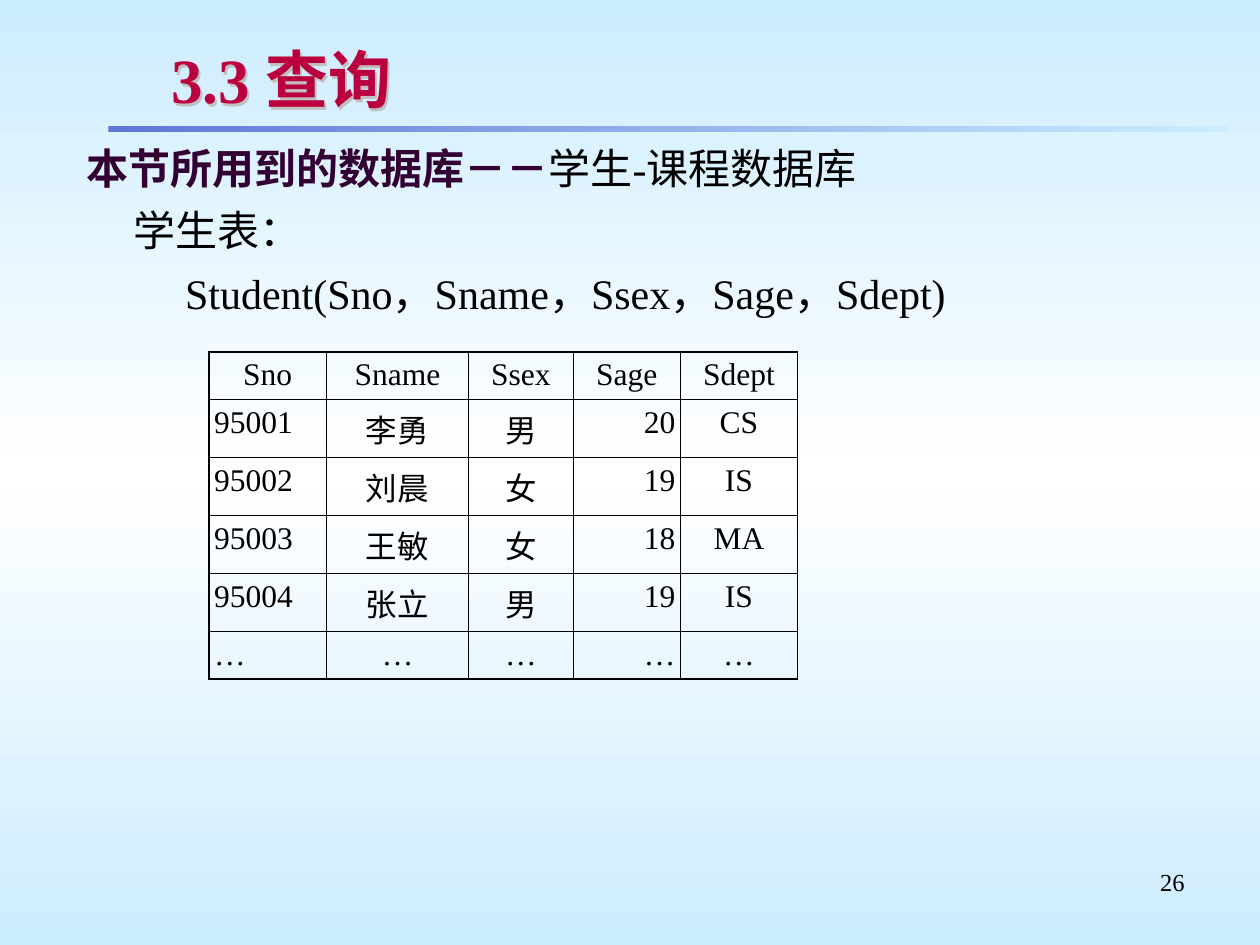
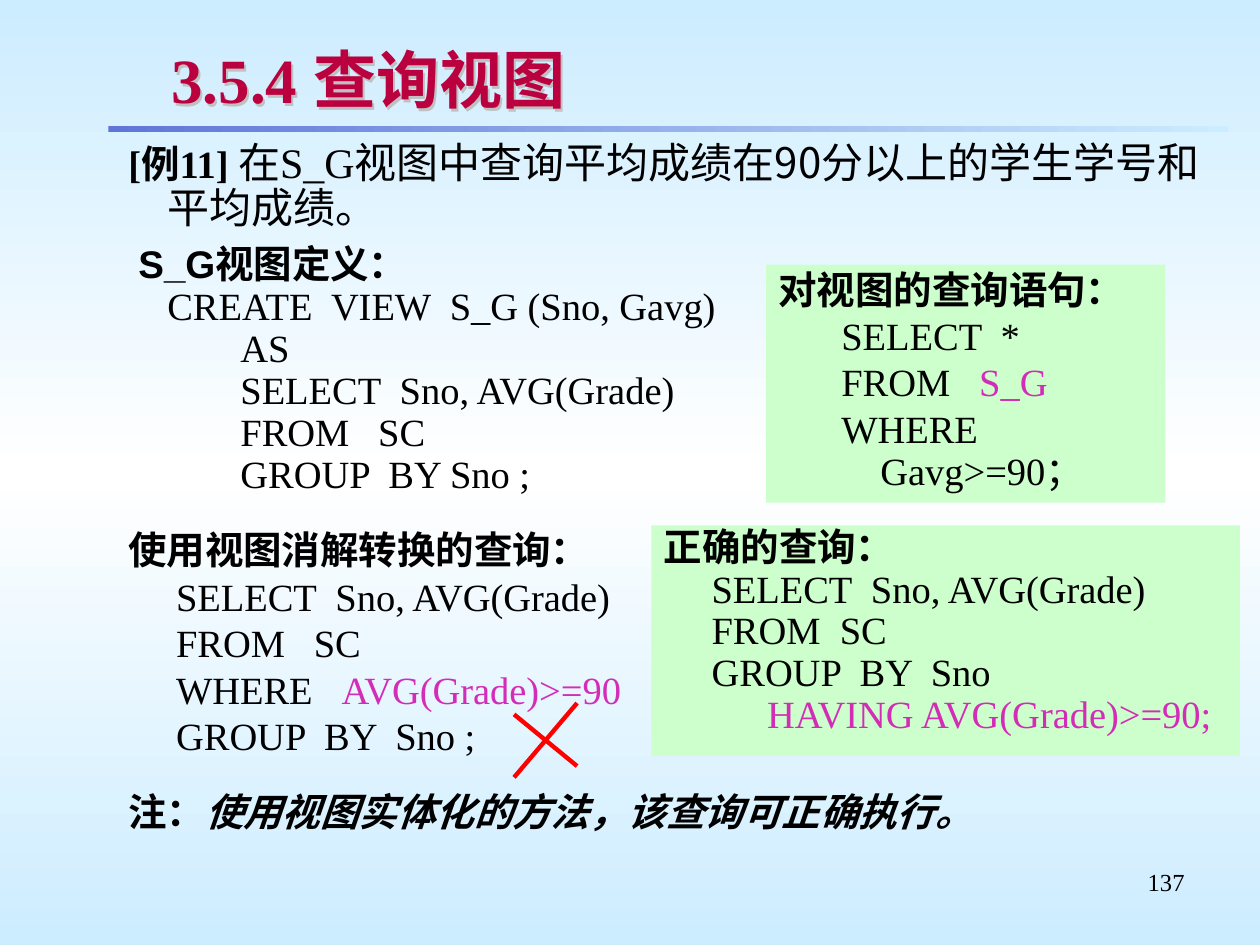
import copy

import pptx
import pptx.dml.color
import pptx.enum.shapes
import pptx.enum.text
import pptx.oxml
import pptx.oxml.ns
import pptx.util
from pptx.util import Inches

SERIF = "Times New Roman"
SANS = "Arial"
CJK = "Noto Sans CJK SC"

SKY = "CCECFF"
WHITE = "FFFFFF"
RULE_BLUE = "5F76D7"
TITLE_RED = "BA003E"
SHADOW_GREY = "C0C0C0"
PLUM = "330033"
BLACK = "000000"
MINT = "CCFFCC"
MAGENTA = "D32DB7"
CROSS_RED = "FF0000"

ALIGN = pptx.enum.text.PP_ALIGN
ANCHOR = pptx.enum.text.MSO_ANCHOR
qn = pptx.oxml.ns.qn
DRAWING_NS = pptx.oxml.ns.nsdecls("a")


def rgb(value):
    return pptx.dml.color.RGBColor.from_string(value)


def set_gradient(fill, owner, colors, angle):
    """Spread the colours evenly along a linear gradient."""
    fill.gradient()
    fill.gradient_angle = angle
    stop_list = next(owner.iter(qn("a:gsLst")))
    while len(stop_list) < len(colors):
        stop_list.append(copy.deepcopy(stop_list[-1]))
    for index, (stop, color) in enumerate(zip(fill.gradient_stops, colors)):
        stop.position = index / (len(colors) - 1)
        stop.color.rgb = rgb(color)


def add_run(paragraph, text, size=22, font=SERIF, color=BLACK, bold=False, italic=False):
    run = paragraph.add_run()
    run.text = text
    run.font.size = pptx.util.Pt(size)
    run.font.name = font
    run.font.color.rgb = rgb(color)
    run.font.bold = bold
    run.font.italic = italic
    latin = run.font._element.find(qn("a:latin"))
    latin.addnext(pptx.oxml.parse_xml(f'<a:ea {DRAWING_NS} typeface="{CJK}"/>'))


def add_paragraph(frame, *runs, margin=0, indent=0, spacing=1.0, before=0,
                  align=ALIGN.LEFT, **text_format):
    """Append a paragraph; a run is a string or (string, format overrides)."""
    paragraph = frame.paragraphs[0]
    if paragraph.runs:
        paragraph = frame.add_paragraph()
        paragraph.space_before = pptx.util.Pt(before)
    else:
        paragraph.space_before = pptx.util.Pt(0)
    paragraph.alignment = align
    paragraph.line_spacing = spacing
    properties = paragraph._p.get_or_add_pPr()
    properties.set("marL", str(Inches(margin)))
    properties.set("indent", str(Inches(indent)))
    for run in runs:
        text, overrides = (run, {}) if isinstance(run, str) else run
        add_run(paragraph, text, **{**text_format, **overrides})


def add_panel(slide, box, fill=None):
    """Add a wrapping text area, on a coloured rectangle if a fill is given."""
    box = [Inches(length) for length in box]
    if fill:
        panel = slide.shapes.add_shape(pptx.enum.shapes.MSO_SHAPE.RECTANGLE, *box)
        panel.shadow.inherit = False
        panel.fill.solid()
        panel.fill.fore_color.rgb = rgb(fill)
        panel.line.fill.background()
    else:
        panel = slide.shapes.add_textbox(*box)
    panel.text_frame.word_wrap = True
    panel.text_frame.vertical_anchor = ANCHOR.TOP
    return panel.text_frame


def add_title(slide, text, box):
    """Place the title; its unfilled shape casts the shadow of the letters."""
    title = slide.shapes.title
    title.left, title.top, title.width, title.height = (Inches(v) for v in box)
    title.fill.background()
    title.element.spPr.append(pptx.oxml.parse_xml(
        f'<a:effectLst {DRAWING_NS}><a:outerShdw dist="22000" dir="2700000">'
        f'<a:srgbClr val="{SHADOW_GREY}"/></a:outerShdw></a:effectLst>'))
    frame = title.text_frame
    frame.vertical_anchor = ANCHOR.MIDDLE
    frame.margin_top = frame.margin_bottom = Inches(0.04)
    add_paragraph(frame, text, size=36, color=TITLE_RED, bold=True)


def add_titled_slide(deck, layout, title, number):
    slide = deck.slides.add_slide(layout)
    rule = slide.shapes.add_shape(
        pptx.enum.shapes.MSO_SHAPE.RECTANGLE,
        Inches(0.86), Inches(1), Inches(8.89), Inches(0.05))
    rule.shadow.inherit = False
    rule.line.fill.background()
    set_gradient(rule.fill, rule.element, [RULE_BLUE, SKY], 0)
    add_title(slide, title, (1.26, 0.29, 8.24, 0.67))
    footer = add_panel(slide, (7.17, 6.83, 2.33, 0.52))
    add_paragraph(footer, number, size=14, align=ALIGN.RIGHT)
    return slide


def set_borders(cell, **widths):
    """Draw black cell borders; the keys are L, R, T and B in points."""
    properties = cell._tc.get_or_add_tcPr()
    for side, width in widths.items():
        properties.append(pptx.oxml.parse_xml(
            f'<a:ln{side} {DRAWING_NS} w="{pptx.util.Pt(width)}"><a:solidFill>'
            f'<a:srgbClr val="{BLACK}"/></a:solidFill></a:ln{side}>'))


def add_student_table(slide, left, top):
    students = [
        ("Sno", "Sname", "Ssex", "Sage", "Sdept"),
        ("95001", "李勇", "男", "20", "CS"),
        ("95002", "刘晨", "女", "19", "IS"),
        ("95003", "王敏", "女", "18", "MA"),
        ("95004", "张立", "男", "19", "IS"),
        ("…",) * 5,
    ]
    widths = [0.93, 1.13, 0.83, 0.85, 0.93]
    heights = [0.38] + [0.46] * 4 + [0.38]
    aligns = [ALIGN.LEFT, ALIGN.CENTER, ALIGN.CENTER, ALIGN.RIGHT, ALIGN.CENTER]
    inner, outer = 0.45, 1.25
    last_row, last_column = len(students) - 1, len(widths) - 1
    table = slide.shapes.add_table(
        len(students), len(widths), Inches(left), Inches(top),
        Inches(sum(widths)), Inches(sum(heights))).table
    table.first_row = table.horz_banding = False
    for column, width in zip(table.columns, widths):
        column.width = Inches(width)
    for row, height in zip(table.rows, heights):
        row.height = Inches(height)
    for r, student in enumerate(students):
        for c, value in enumerate(student):
            cell = table.cell(r, c)
            cell.margin_left = cell.margin_right = Inches(0.04)
            cell.margin_top, cell.margin_bottom = Inches(0.05), Inches(0.03)
            set_borders(cell,
                        L=outer if c == 0 else inner,
                        R=outer if c == last_column else inner,
                        T=outer if r == 0 else inner,
                        B=outer if r == last_row else inner)
            cell.fill.background()
            add_paragraph(cell.text_frame, value, size=18,
                          align=aligns[c] if r else ALIGN.CENTER)


def add_code_panel(slide, box, heading, lines, spacing, fill=None, font=SERIF):
    """Add a bold heading above code lines given as (margin, indent, *runs)."""
    frame = add_panel(slide, box, fill)
    add_paragraph(frame, heading, spacing=spacing, font=font, bold=True)
    for margin, indent, *runs in lines:
        add_paragraph(frame, *runs, margin=margin, indent=indent,
                      spacing=spacing, before=2.8)


def add_cross(slide, left, top, width, height):
    """Strike out the wrong query; the falling stroke is the flatter one."""
    inset = 0.09
    right, bottom = left + width, top + height
    for start_y, end_y in ((top + inset, bottom - inset), (bottom, top)):
        stroke = slide.shapes.add_connector(
            pptx.enum.shapes.MSO_CONNECTOR.STRAIGHT,
            Inches(left), Inches(start_y), Inches(right), Inches(end_y))
        stroke.line.color.rgb = rgb(CROSS_RED)
        stroke.line.width = pptx.util.Pt(2.5)
        stroke.element.spPr.append(
            pptx.oxml.parse_xml(f"<a:effectLst {DRAWING_NS}/>"))


def build_query_slide(deck, layout):
    slide = add_titled_slide(deck, layout, "3.3 查询", "26")
    schema = add_panel(slide, (0.59, 1.08, 9.08, 1.5))
    style = dict(size=24, before=6.9)
    add_paragraph(schema, ("本节所用到的数据库－－", dict(color=PLUM, bold=True)),
                  "学生-课程数据库", **style)
    add_paragraph(schema, "学生表：", margin=0.37, **style)
    add_paragraph(schema, "Student(Sno，Sname，Ssex，Sage，Sdept)", margin=0.78, **style)
    add_student_table(slide, 1.66, 2.79)


def build_view_slide(deck, layout):
    slide = add_titled_slide(deck, layout, "3.5.4 查询视图", "137")
    highlight = dict(color=MAGENTA)

    example = add_panel(slide, (0.42, 1.08, 9.25, 0.86))
    add_paragraph(example, ("[例11]", dict(size=22, font=SERIF, bold=True)), " 在",
                  ("S_G", dict(font=SERIF)),
                  "视图中查询平均成绩在90分以上的学生学号和平均成绩。",
                  size=24, font=CJK, margin=0.81, indent=-0.31, spacing=0.9)

    add_code_panel(slide, (1, 1.93, 4.92, 2.24), "S_G视图定义：", [
        (0.23, 0, "CREATE  VIEW  S_G (Sno, Gavg)"),
        (0.81, 0, "AS"),
        (0.81, 0, "SELECT  Sno, AVG(Grade)"),
        (0.81, 0, "FROM   SC"),
        (0.81, 0, "GROUP  BY Sno ;"),
    ], 0.8, font=SANS)
    add_code_panel(slide, (6.08, 2.1, 3.17, 1.89), "对视图的查询语句：", [
        (0.81, -0.31, "SELECT  *"),
        (0.81, -0.31, "FROM   ", ("S_G", highlight)),
        (0.81, -0.31, "WHERE  Gavg>=90；"),
    ], 0.9, fill=MINT, font=CJK)
    add_code_panel(slide, (0.92, 4.17, 4.17, 1.92), "使用视图消解转换的查询：", [
        (0.38, 0, "SELECT  Sno, AVG(Grade)"),
        (0.38, 0, "FROM   SC"),
        (0.38, 0, "WHERE   ", ("AVG(Grade)>=90", highlight)),
        (0.38, 0, "GROUP  BY  Sno ;"),
    ], 0.9, font=CJK)
    add_cross(slide, 4.08, 5.58, 0.5, 0.59)
    add_code_panel(slide, (5.17, 4.17, 4.67, 1.83), "正确的查询：", [
        (0.38, 0, "SELECT  Sno, AVG(Grade)"),
        (0.38, 0, "FROM  SC"),
        (0.38, 0, "GROUP  BY  Sno"),
        (0.82, 0, ("HAVING AVG(Grade)>=90;", highlight)),
    ], 0.8, fill=MINT)

    note = add_panel(slide, (0.42, 6.25, 9.33, 0.75))
    add_paragraph(note, "注：",
                  ("使用视图实体化的方法，该查询可正确执行。", dict(italic=True)),
                  bold=True, margin=0.5, spacing=0.9)


def main():
    deck = pptx.Presentation()
    deck.slide_width, deck.slide_height = Inches(10), Inches(7.5)
    title_only = deck.slide_layouts[5]
    set_gradient(title_only.background.fill, title_only.element, [SKY, WHITE, SKY], 270)
    build_query_slide(deck, title_only)
    build_view_slide(deck, title_only)
    deck.save("out.pptx")


if __name__ == "__main__":
    main()
